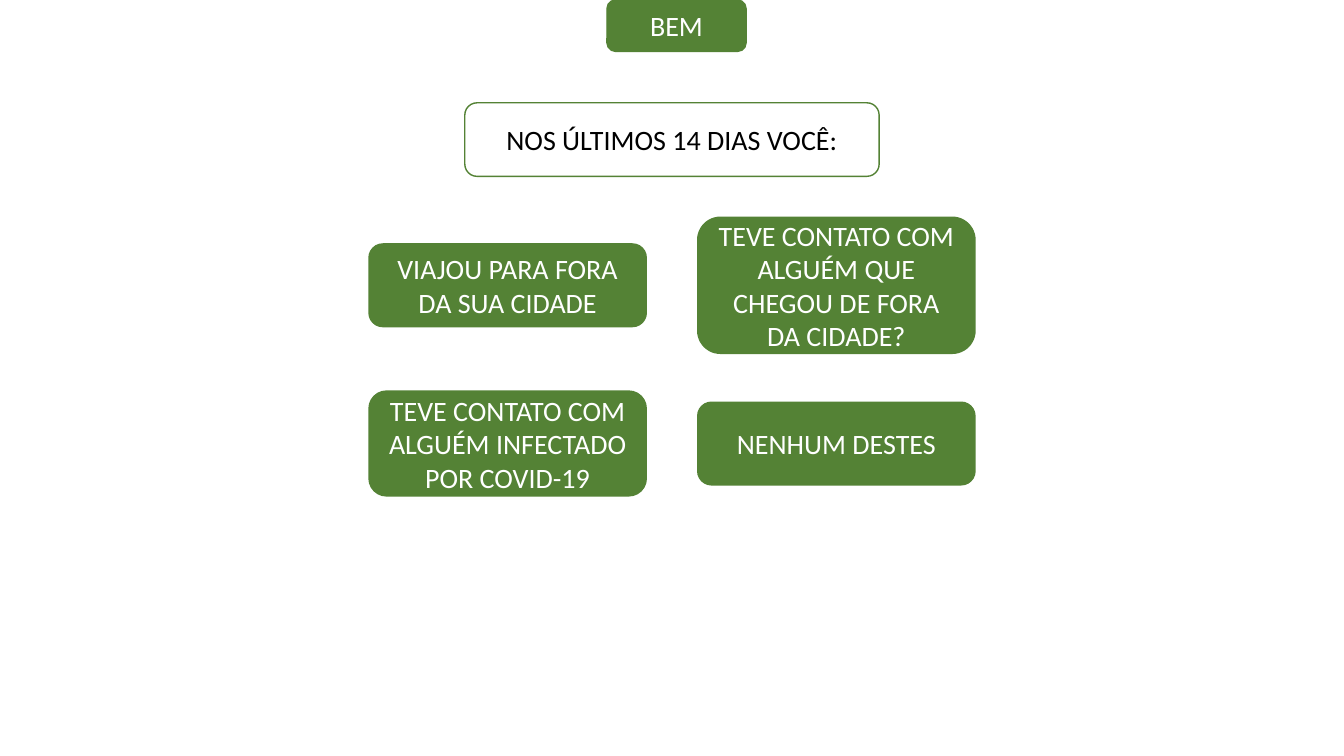
"""Build the slide that asks a well person about the last 14 days."""
from dataclasses import dataclass

from pptx import Presentation
from pptx import slide as sl
from pptx import util as u
from pptx.dml import color as col
from pptx.enum import shapes, text

HUES = {"green": "548235", "white": "FFFFFF", "black": "000000"}
FONT = "Calibri"
SIZE = 20
WIDE = 2.75
COLS = (3.66, 6.92)
ROWS = (2.83, 4.4)


@dataclass
class Box:
    words: str
    left: float
    mid: float
    width: float
    height: float
    fill: str = "green"
    ink: str = "white"
    kind: shapes.MSO_SHAPE = shapes.MSO_SHAPE.FLOWCHART_ALTERNATE_PROCESS


def hue(name: str) -> col.RGBColor:
    return col.RGBColor.from_string(HUES[name])


def draw(page: sl.Slide, box: Box) -> None:
    top = box.mid - box.height / 2
    shape = page.shapes.add_shape(
        box.kind, u.Inches(box.left), u.Inches(top),
        u.Inches(box.width), u.Inches(box.height))
    shape.shadow.inherit = False
    shape.fill.solid()
    shape.fill.fore_color.rgb = hue(box.fill)
    shape.line.color.rgb = hue("green")
    shape.line.width = u.Pt(1)
    frame = shape.text_frame
    frame.text = box.words
    frame.word_wrap = True
    frame.vertical_anchor = text.MSO_ANCHOR.MIDDLE
    line = frame.paragraphs[0]
    line.alignment = text.PP_ALIGN.CENTER
    font = line.runs[0].font
    font.name = FONT
    font.size = u.Pt(SIZE)
    font.color.rgb = hue(box.ink)


def main() -> None:
    deck = Presentation()
    deck.slide_width = u.Inches(13.33)
    deck.slide_height = u.Inches(7.5)
    page = deck.slides.add_slide(deck.slide_layouts[6])

    head = [
        Box("NOS ÚLTIMOS 14 DIAS VOCÊ:", 4.61, 1.385, 4.11, 0.73,
            "white", "black", shapes.MSO_SHAPE.ROUNDED_RECTANGLE),
        Box("BEM", 6.02, 0.255, 1.38, 0.51),
    ]
    picks = [
        ("VIAJOU PARA FORA DA SUA CIDADE", 0.82),
        ("TEVE CONTATO COM ALGUÉM QUE CHEGOU DE FORA DA CIDADE?", 1.35),
        ("TEVE CONTATO COM ALGUÉM INFECTADO POR COVID-19", 1.04),
        ("NENHUM DESTES", 0.82),
    ]
    grid = [Box(words, COLS[i % 2], ROWS[i // 2], WIDE, height)
            for i, (words, height) in enumerate(picks)]
    for box in head + grid:
        draw(page, box)
    deck.save("out.pptx")


if __name__ == "__main__":
    main()
